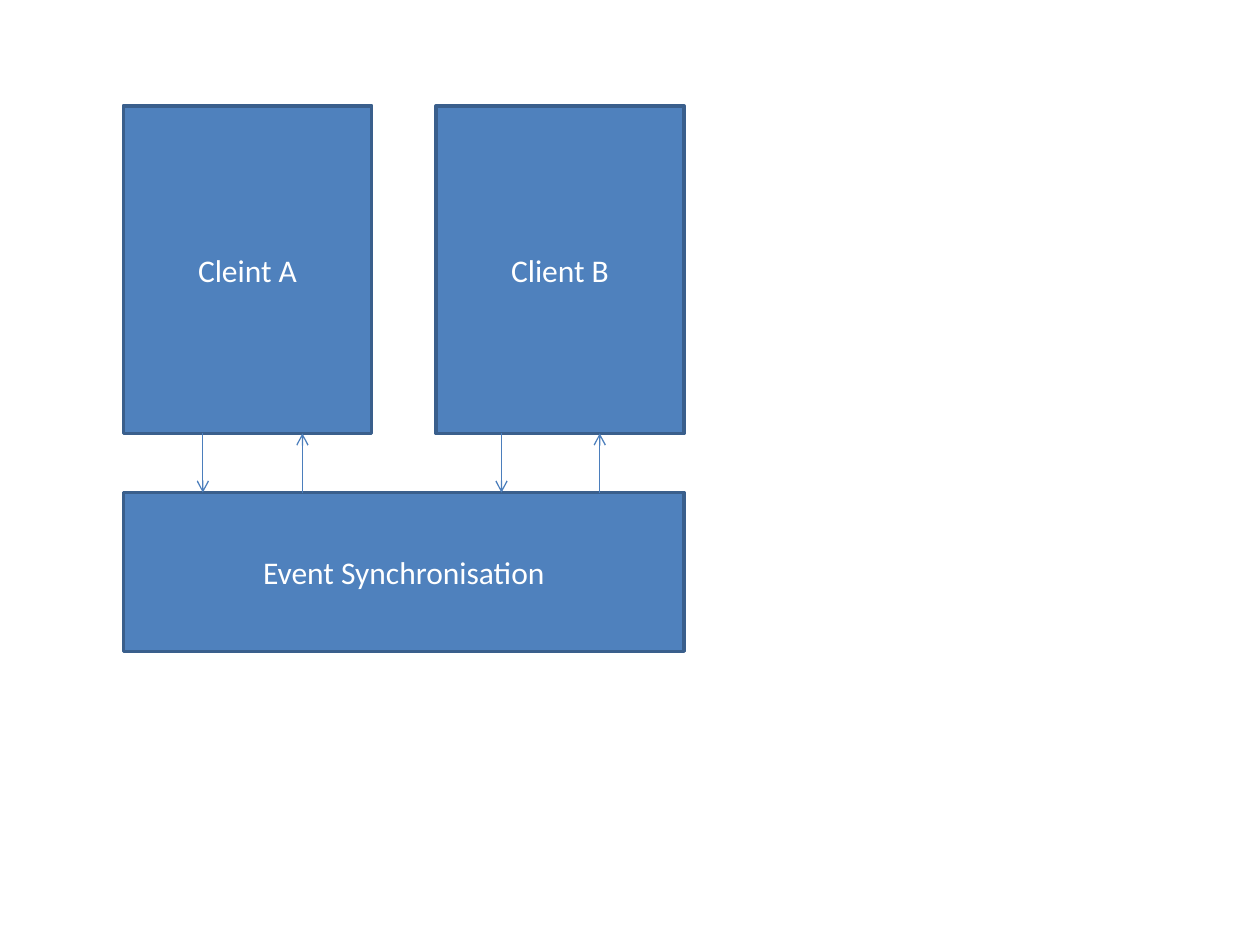
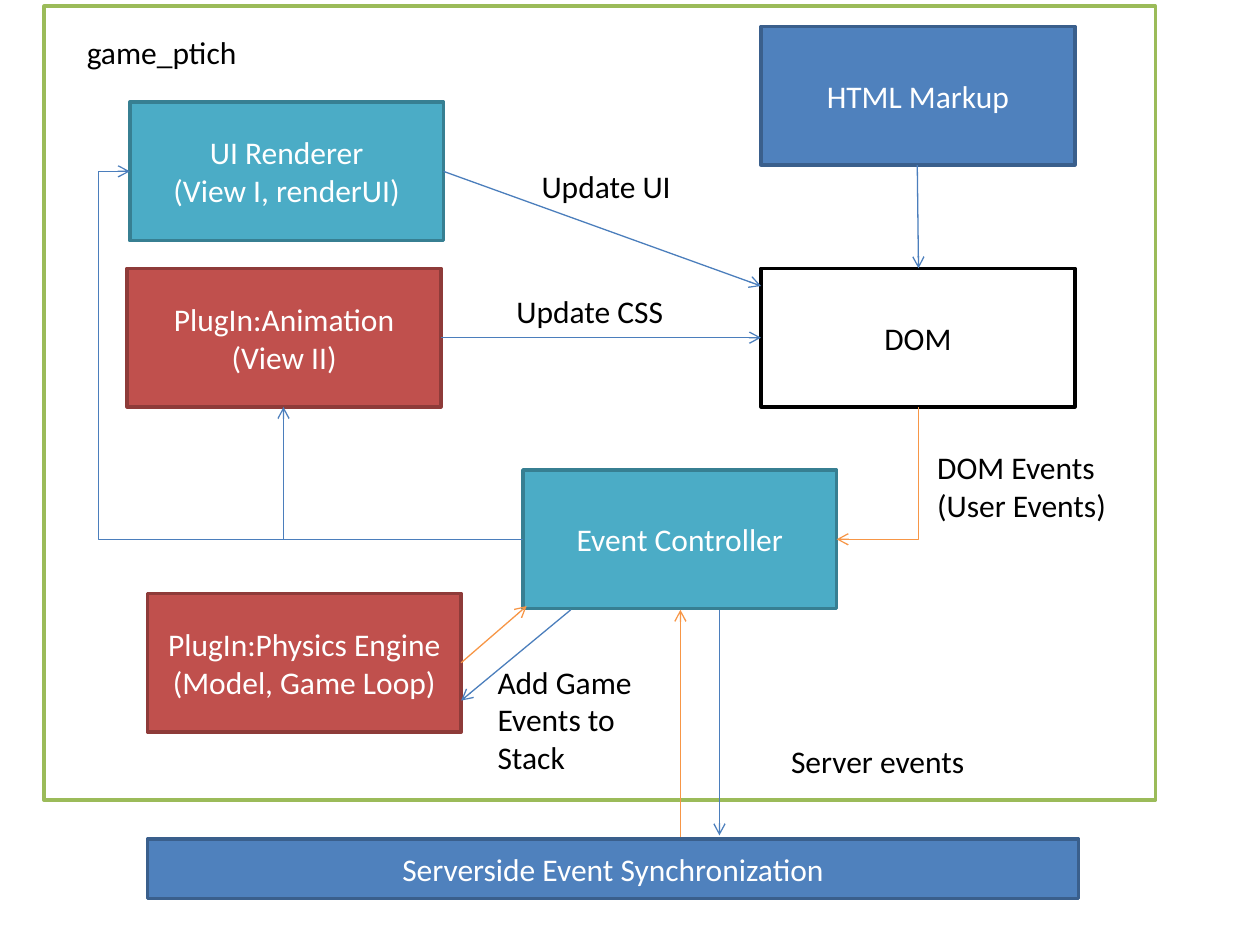
from dataclasses import dataclass

from lxml import etree
from pptx import Presentation
from pptx.dml import color
from pptx.enum import shapes, text
from pptx.oxml import ns
from pptx.util import Inches, Pt


@dataclass(frozen=True)
class Theme:
    """Colours, type and line widths; a box style is (fill, line, text)."""
    font: str = "Calibri"
    size: float = 18
    box_line: float = 2
    arrow_line: float = 0.75
    ink: str = "000000"
    flow: str = "4B7EBC"
    event: str = "F79646"
    blue: tuple = ("4F81BD", "3A5F8C", "FFFFFF")
    teal: tuple = ("4BACC6", "377F92", "FFFFFF")
    red: tuple = ("C0504D", "8E3B39", "FFFFFF")
    plain: tuple = ("FFFFFF", "000000", "000000")
    frame: tuple = ("FFFFFF", "9BBB59", "000000")


THEME = Theme()
BOX_SIZE = (2.49, 1.1)  # component boxes on the architecture slide


def rgb(value):
    return color.RGBColor.from_string(value)


def write(frame, words, ink, align):
    frame.text = words
    for paragraph in frame.paragraphs:
        paragraph.alignment = align
        for run in paragraph.runs:
            run.font.name = THEME.font
            run.font.size = Pt(THEME.size)
            run.font.color.rgb = rgb(ink)


def add_box(slide, place, size, style, words=""):
    fill, line, ink = style
    box = slide.shapes.add_shape(
        shapes.MSO_SHAPE.RECTANGLE, *map(Inches, place + size))
    box.shadow.inherit = False
    box.fill.solid()
    box.fill.fore_color.rgb = rgb(fill)
    box.line.color.rgb = rgb(line)
    box.line.width = Pt(THEME.box_line)
    if words:
        box.text_frame.vertical_anchor = text.MSO_ANCHOR.MIDDLE
        write(box.text_frame, words, ink, text.PP_ALIGN.CENTER)


def add_label(slide, place, size, words, wrap=False):
    label = slide.shapes.add_textbox(*map(Inches, place + size))
    label.text_frame.word_wrap = wrap
    label.text_frame.auto_size = text.MSO_AUTO_SIZE.SHAPE_TO_FIT_TEXT
    write(label.text_frame, words, THEME.ink, text.PP_ALIGN.LEFT)


def style_arrow(arrow, ink):
    arrow.line.color.rgb = rgb(ink)
    arrow.line.width = Pt(THEME.arrow_line)
    properties = arrow._element.spPr
    outline = properties.find(ns.qn("a:ln"))
    etree.SubElement(outline, ns.qn("a:tailEnd"), type="arrow")
    etree.SubElement(properties, ns.qn("a:effectLst"))


def add_arrow(slide, start, end, ink=THEME.flow):
    arrow = slide.shapes.add_connector(
        shapes.MSO_CONNECTOR.STRAIGHT, *map(Inches, start + end))
    style_arrow(arrow, ink)


def add_elbow(slide, start, end, turn, ink=THEME.flow, bend=None):
    """Right-angled arrow, turned about its centre.

    Without bend it has one corner; bend places the middle leg of a
    two-corner arrow as a share of the width.
    """
    (x1, y1), (x2, y2) = start, end
    width, height = abs(x2 - x1), abs(y2 - y1)
    if turn == 90:
        width, height = height, width
    left, top = (x1 + x2 - width) / 2, (y1 + y2 - height) / 2
    elbow = slide.shapes.add_connector(
        shapes.MSO_CONNECTOR.ELBOW,
        *map(Inches, (left, top, left + width, top + height)))
    elbow.rotation = turn
    geometry = elbow._element.spPr.find(ns.qn("a:prstGeom"))
    if bend is None:
        geometry.set("prst", "bentConnector2")
    else:
        guides = geometry.find(ns.qn("a:avLst"))
        if guides is None:
            guides = etree.SubElement(geometry, ns.qn("a:avLst"))
        etree.SubElement(guides, ns.qn("a:gd"), name="adj1",
                         fmla=f"val {round(bend * 100000)}")
    style_arrow(elbow, ink)


def build_clients(slide):
    # Two clients above the shared synchronisation layer
    left, top, bottom, sync_top = 0.98, 0.84, 3.44, 3.91
    client_width, pitch = 1.97, 2.48
    for column, client in enumerate(("Cleint A", "Client B")):
        add_box(slide, (left + column * pitch, top),
                (client_width, bottom - top), THEME.blue, client)
    add_box(slide, (left, sync_top), (pitch + client_width, 1.26),
            THEME.blue, "Event Synchronisation")

    # One arrow down and one up for each client
    for down, up in ((1.61, 2.4), (3.98, 4.76)):
        add_arrow(slide, (down, bottom), (down, sync_top))
        add_arrow(slide, (up, sync_top), (up, bottom))


def build_architecture(slide):
    # Client frame and its components
    add_box(slide, (0.35, 0.05), (8.82, 6.3), THEME.frame)
    components = (
        ((1.01, 2.13), THEME.red, "PlugIn:Animation\n(View II)"),
        ((1.17, 4.71), THEME.red,
         "PlugIn:Physics Engine\n(Model, Game Loop)"),
        ((4.15, 3.73), THEME.teal, "Event Controller"),
        ((6.04, 2.13), THEME.plain, "DOM"),
        ((6.04, 0.21), THEME.blue, "HTML Markup"),
        ((1.03, 0.81), THEME.teal, "UI Renderer\n(View I, renderUI)"),
    )
    for place, style, words in components:
        add_box(slide, place, BOX_SIZE, style, words)

    # Server below the frame
    add_box(slide, (1.17, 6.66), (7.39, 0.47), THEME.blue,
            "Serverside Event Synchronization")

    # Updates to the DOM
    add_arrow(slide, (3.52, 1.36), (6.04, 2.27))
    add_arrow(slide, (3.5, 2.68), (6.04, 2.68))
    add_arrow(slide, (7.28, 1.31), (7.29, 2.13))

    # Controller to both views, and DOM events to the controller
    controller_left = (4.15, 4.28)
    add_elbow(slide, controller_left, (2.25, 3.23), 180)
    add_elbow(slide, controller_left, (1.03, 1.36), 180, bend=1.08)
    add_elbow(slide, (7.29, 3.23), (6.64, 4.28), 90, THEME.event)

    # Exchange with the physics engine and the server
    add_arrow(slide, (3.66, 5.26), (4.18, 4.81), THEME.event)
    add_arrow(slide, (4.53, 4.84), (3.66, 5.56))
    add_arrow(slide, (5.4, 6.64), (5.4, 4.84), THEME.event)
    add_arrow(slide, (5.71, 4.84), (5.71, 6.63))

    # Labels
    add_label(slide, (0.59, 0.21), (1.41, 0.4), "game_ptich")
    add_label(slide, (4.2, 1.28), (1.24, 0.4), "Update UI")
    add_label(slide, (4, 2.27), (1.44, 0.4), "Update CSS ")
    add_label(slide, (7.34, 3.51), (1.56, 0.71),
              "DOM Events \n(User Events)")
    add_label(slide, (3.85, 5.21), (1.39, 1.01),
              "Add Game \nEvents to Stack", wrap=True)
    add_label(slide, (6.18, 5.84), (1.59, 0.4), "Server events")


def main():
    deck = Presentation()
    deck.slide_width, deck.slide_height = Inches(10), Inches(7.5)
    blank = deck.slide_layouts[6]
    for build in (build_clients, build_architecture):
        build(deck.slides.add_slide(blank))
    deck.save("out.pptx")


main()
